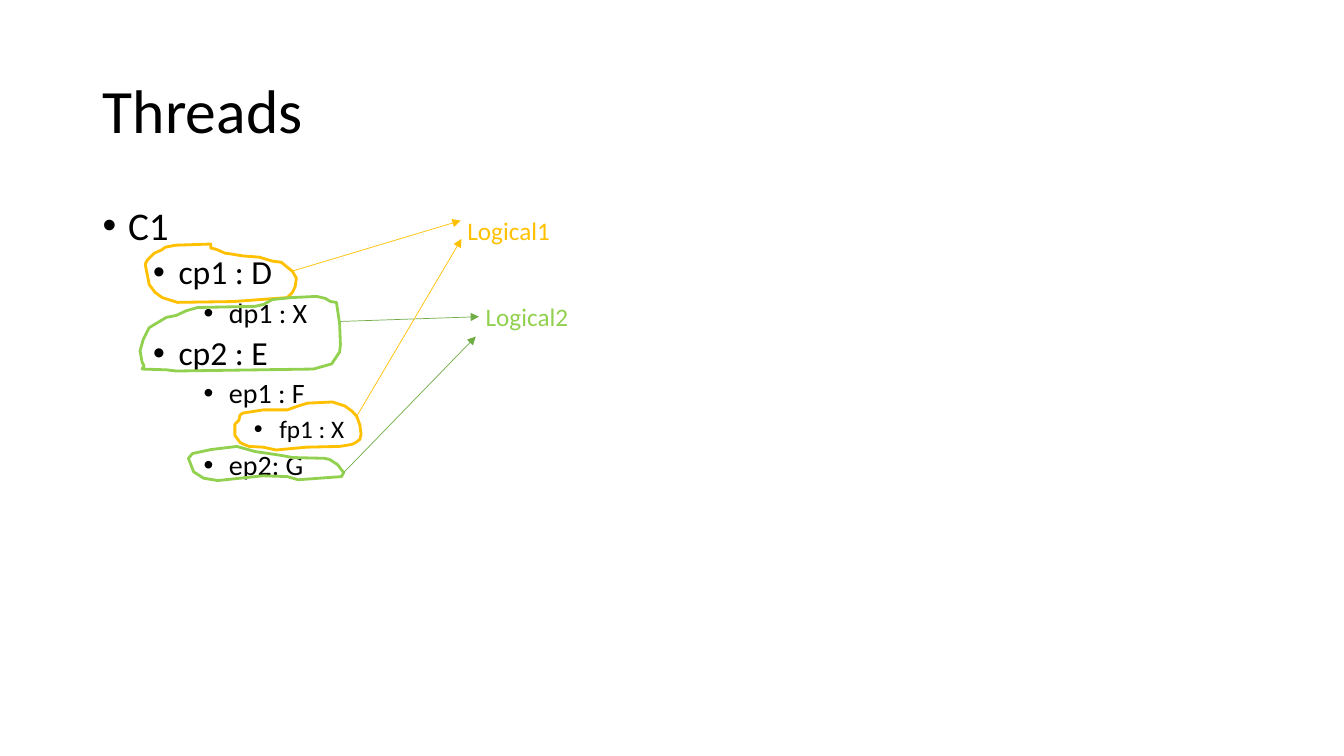
from lxml import etree
from pptx import Presentation
from pptx.dml.color import RGBColor
from pptx.enum.shapes import MSO_CONNECTOR
from pptx.enum.text import MSO_ANCHOR, MSO_AUTO_SIZE, PP_ALIGN
from pptx.oxml.ns import qn
from pptx.util import Cm, Pt

STRAIGHT = MSO_CONNECTOR.STRAIGHT
MIDDLE = MSO_ANCHOR.MIDDLE
LEFT = PP_ALIGN.LEFT
NO_FIT = MSO_AUTO_SIZE.NONE
GROW = MSO_AUTO_SIZE.SHAPE_TO_FIT_TEXT
FONT = "Calibri"
COLOURS = {"text": "000000", "gold": "FFC000", "lime": "92D050", "green": "70AD47"}
LEVEL_SIZES = [28, 24, 20, 18]
OUTLINE_ITEMS = [
    (0, "C1"), (1, "cp1 : D"), (2, "dp1 : X"), (1, "cp2 : E"),
    (2, "ep1 : F"), (3, "fp1 : X"), (2, "ep2: G"),
]
LOOPS = [
    ("gold", 0.16, 0.85, [
        (1.65, 0), (0.76, 0.03), (0.51, 0.08), (0.41, 0.15), (0.23, 0.23),
        (0.05, 0.41), (0, 0.51), (0.08, 0.91), (0.1, 1.02), (0.25, 1.22),
        (0.43, 1.35), (0.81, 1.47), (2.21, 1.45), (3.58, 1.35), (3.71, 1.22),
        (3.78, 1.07), (3.81, 0.86), (3.71, 0.69), (3.43, 0.46), (3.2, 0.43),
        (2.87, 0.33), (2.46, 0.3), (2.16, 0.25), (2.01, 0.23), (1.78, 0.13),
        (1.65, 0.1)]),
    ("gold", 2.42, 4.83, [
        (0.71, 0.2), (0.2, 0.28), (0.13, 0.33), (0.1, 0.46), (0, 0.56),
        (0, 0.84), (0.13, 1.02), (0.23, 1.07), (0.36, 1.12), (0.71, 1.14),
        (1.04, 1.21), (1.8, 1.14), (2.64, 1.12), (2.95, 1.07), (3.05, 1.02),
        (3.15, 0.94), (3.18, 0.81), (3.15, 0.58), (3.07, 0.36), (2.95, 0.23),
        (2.77, 0.1), (2.46, 0), (1.83, 0.03), (1.6, 0.1), (1.32, 0.2)]),
    ("lime", 0.03, 2.17, [
        (0.05, 1.83), (0.66, 1.85), (0.91, 1.88), (4.37, 1.83), (4.83, 1.7),
        (5.03, 1.4), (5.05, 1.22), (5.03, 0.69), (4.95, 0.15), (4.8, 0.13),
        (4.67, 0.05), (4.45, 0), (3.81, 0.03), (3.33, 0.08), (3.12, 0.2),
        (2.9, 0.25), (1.45, 0.28), (1.17, 0.36), (0.91, 0.48), (0.66, 0.53),
        (0.36, 0.71), (0.23, 0.79), (0.13, 0.99), (0.08, 1.09), (0, 1.37),
        (0.05, 1.65), (0.1, 1.75)]),
    ("lime", 1.25, 5.95, [
        (1.22, 0), (0.56, 0.08), (0.1, 0.18), (0, 0.3), (0.13, 0.64),
        (0.38, 0.8), (0.74, 0.86), (1.88, 0.74), (2.49, 0.76), (2.77, 0.84),
        (3.86, 0.76), (3.91, 0.66), (3.76, 0.46), (3.56, 0.33), (3.43, 0.3),
        (2.62, 0.28), (2.36, 0.23), (2.03, 0.18), (1.68, 0.13)]),
]
ARROWS = [
    ("green", 5.09, 2.8, 8.57, 2.68), ("gold", 3.87, 1.53, 8.11, 0.26),
    ("gold", 5.49, 5.19, 8.13, 0.72), ("green", 5.16, 6.61, 8.49, 3.18),
]
LABELS = [("Logical1", "gold", 8.03, 0.01), ("Logical2", "lime", 8.49, 2.17)]


def colour(name):
    """Return the named palette colour."""
    return RGBColor.from_string(COLOURS[name])


def add_span(para, text, size, tint="text"):
    """Add one formatted run to a paragraph."""
    span = para.add_run()
    span.text = text
    span.font.name = FONT
    span.font.size = Pt(size)
    span.font.color.rgb = colour(tint)


def add_title(page, box):
    """Place the title placeholder in its box."""
    title = page.shapes.title
    title.left, title.top, title.width, title.height = map(Cm, box)
    frame = title.text_frame
    frame.auto_size = NO_FIT
    frame.vertical_anchor = MIDDLE
    para = frame.paragraphs[0]
    para.alignment = LEFT
    para.line_spacing = 0.9
    add_span(para, "Threads", 44)


def add_outline(page, box):
    """Write the nested bullet list in its box."""
    frame = page.shapes.add_textbox(*map(Cm, box)).text_frame
    frame.word_wrap = True
    for index, (level, text) in enumerate(OUTLINE_ITEMS):
        para = frame.add_paragraph() if index else frame.paragraphs[0]
        para.level = level
        para.line_spacing = 0.9
        para.space_before = Pt(5 if index else 0)
        properties = para._p.get_or_add_pPr()
        properties.set("marL", str(Cm(0.64 + 1.27 * level)))
        properties.set("indent", str(Cm(-0.64)))
        etree.SubElement(properties, qn("a:buFont"), typeface="Arial")
        etree.SubElement(properties, qn("a:buChar"), char="•")
        add_span(para, text, LEVEL_SIZES[level])


def add_loop(page, left, top, tint, points):
    """Draw a closed hand-drawn loop from its top left corner."""
    corners = [(Cm(x), Cm(y)) for x, y in points]
    builder = page.shapes.build_freeform(*corners[0], scale=1.0)
    builder.add_line_segments(corners[1:], close=True)
    loop = builder.convert_to_shape(Cm(left), Cm(top))
    loop.shadow.inherit = False
    loop.fill.background()
    loop.line.color.rgb = colour(tint)
    loop.line.width = Pt(2)


def add_arrow(page, start, end, tint):
    """Draw a thin arrow between two points."""
    arrow = page.shapes.add_connector(STRAIGHT, *map(Cm, start + end))
    arrow.line.color.rgb = colour(tint)
    arrow.line.width = Pt(0.5)
    etree.SubElement(arrow.line._get_or_add_ln(), qn("a:tailEnd"), type="triangle")
    etree.SubElement(arrow._element.spPr, qn("a:effectLst"))


def add_mapping(page, box):
    """Draw the loops, arrows and thread labels relative to the box."""
    left, top = box
    for tint, x, y, points in LOOPS:
        add_loop(page, left + x, top + y, tint, points)
    for tint, x1, y1, x2, y2 in ARROWS:
        add_arrow(page, (left + x1, top + y1), (left + x2, top + y2), tint)
    for text, tint, x, y in LABELS:
        label = page.shapes.add_textbox(Cm(left + x), Cm(top + y), Cm(2.62), Cm(1.02))
        label.text_frame.word_wrap = False
        label.text_frame.auto_size = GROW
        add_span(label.text_frame.paragraphs[0], text, 18, tint)


def main():
    """Build and save the deck."""
    deck = Presentation()
    deck.slide_width, deck.slide_height = Cm(33.87), Cm(19.05)
    page = deck.slides.add_slide(deck.slide_layouts[5])
    add_title(page, (2.34, 1.02, 29.21, 3.68))
    add_outline(page, (2.34, 5.08, 29.21, 12.09))
    add_mapping(page, (3.5, 5.3))
    deck.save("out.pptx")


if __name__ == "__main__":
    main()
